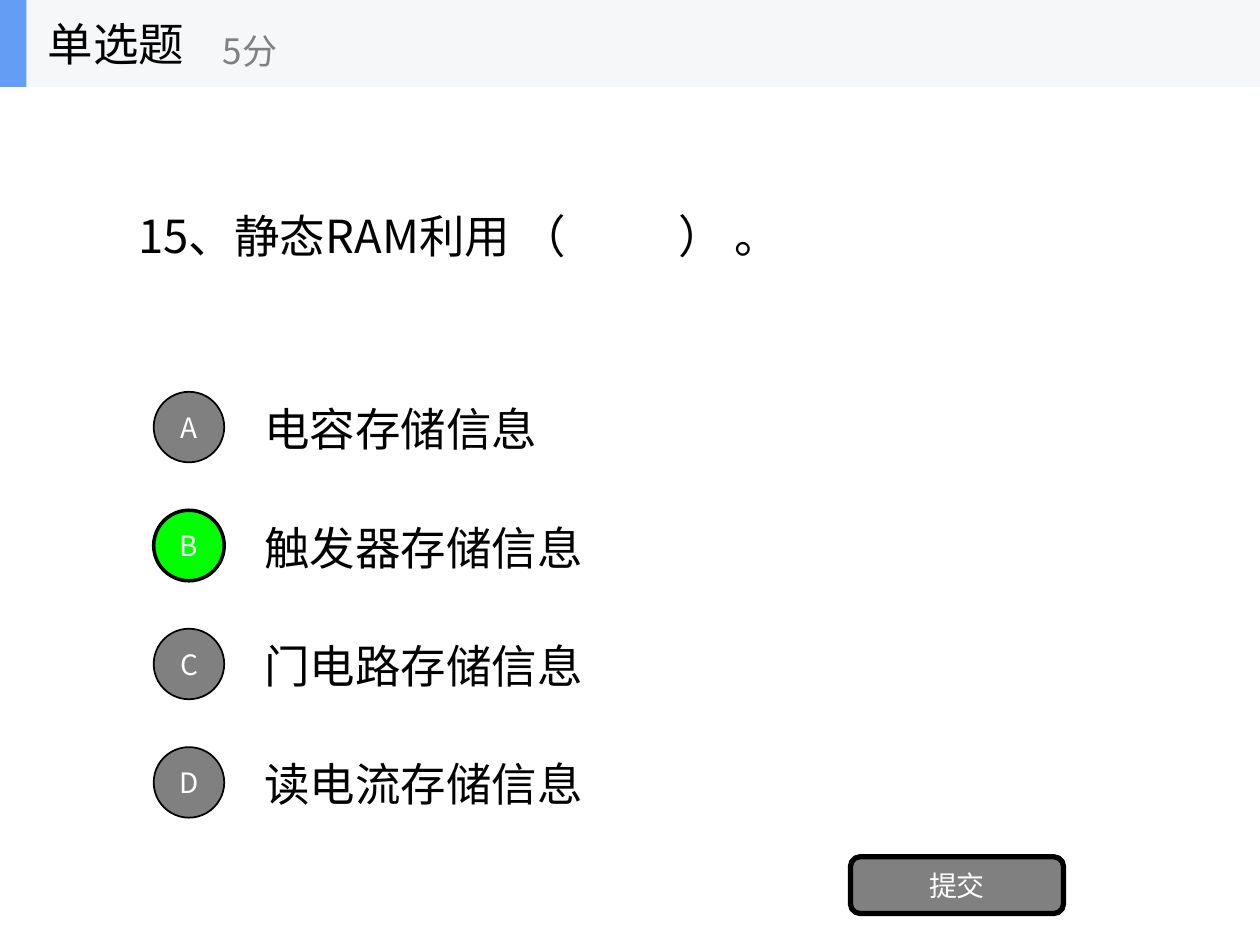
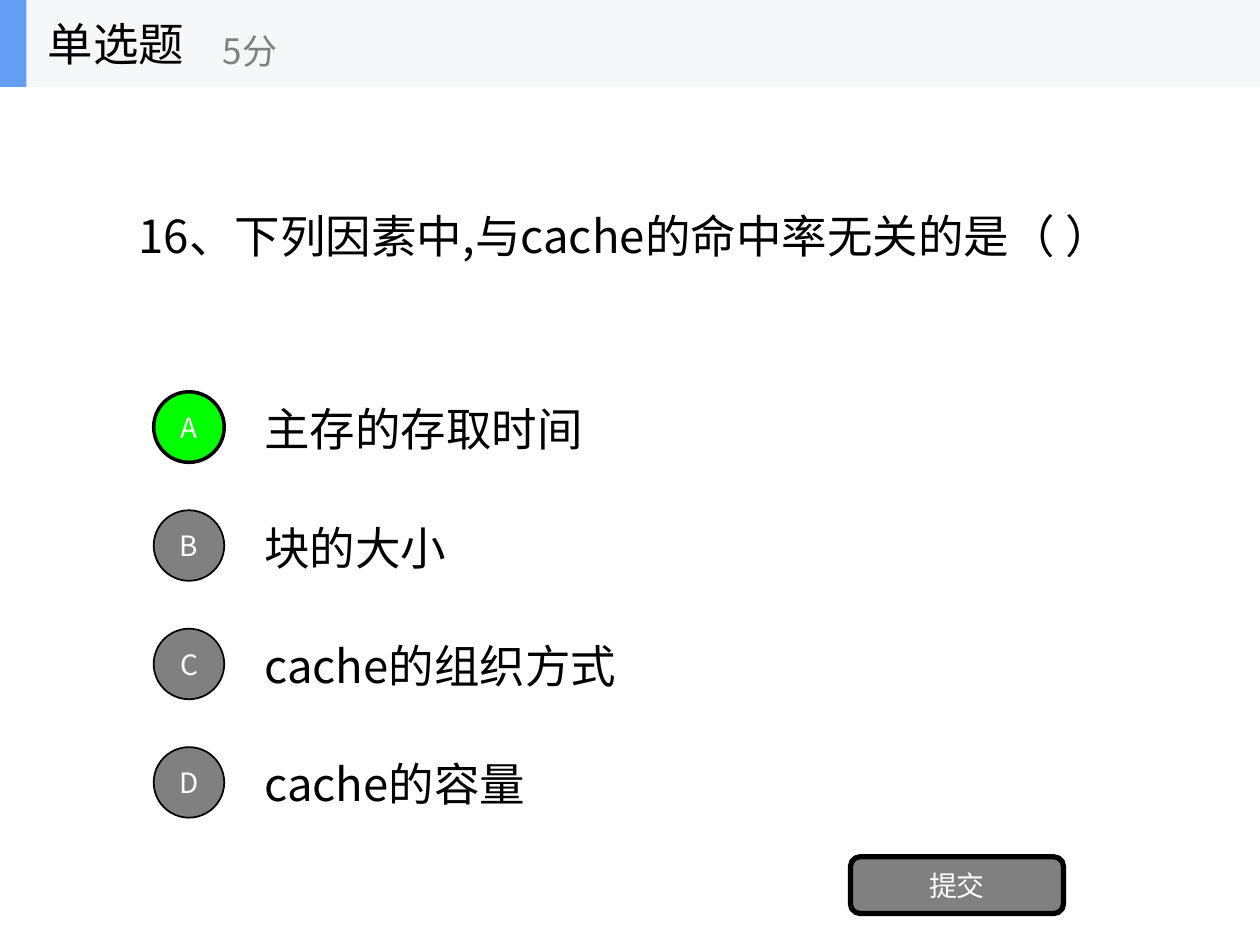
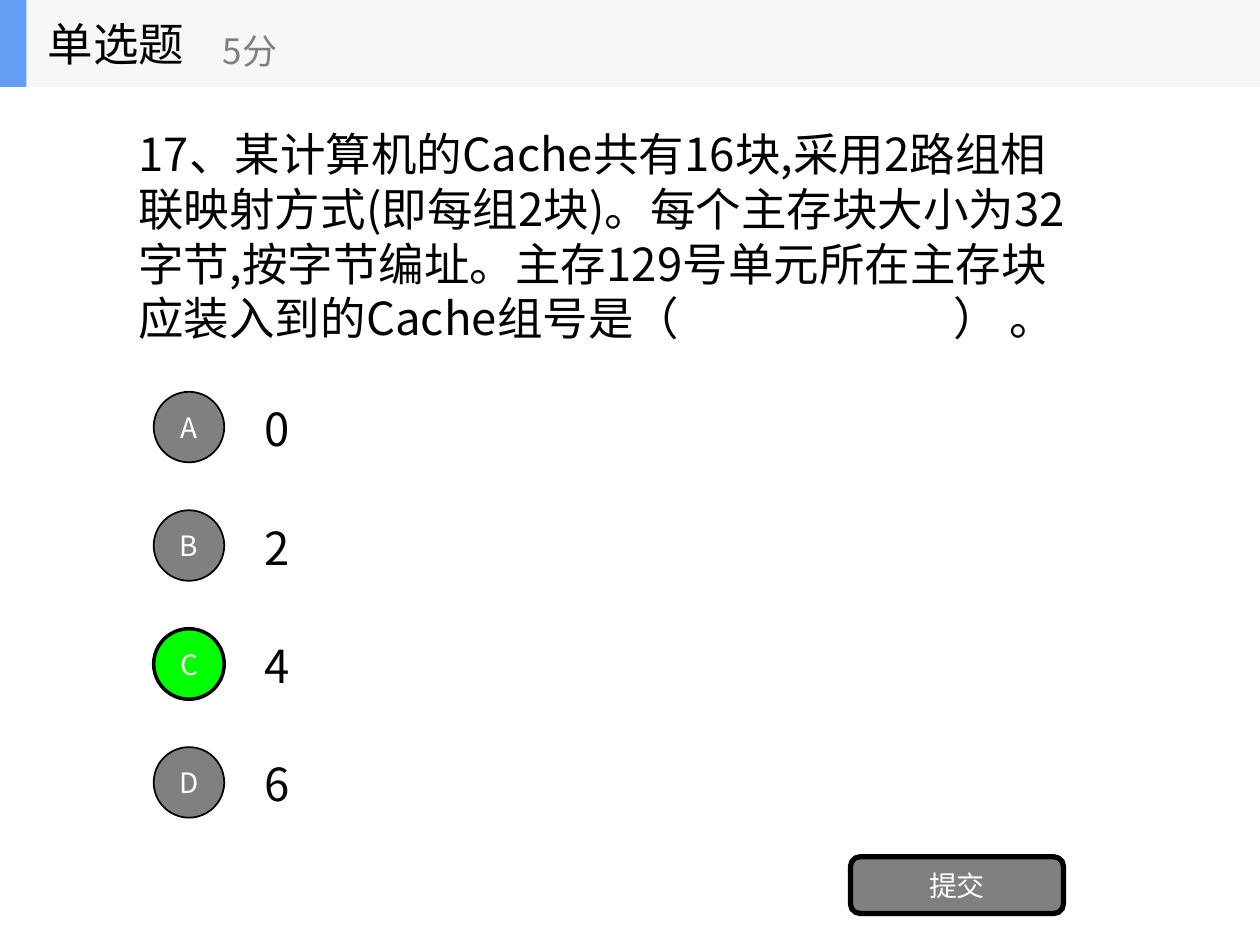
from dataclasses import dataclass

from lxml.etree import SubElement
from pptx import Presentation
from pptx.dml.color import RGBColor
from pptx.enum.shapes import MSO_SHAPE as Preset
from pptx.enum.text import MSO_ANCHOR as Anchor, PP_ALIGN as Align
from pptx.oxml.ns import qn
from pptx.util import Inches, Pt

COLUMNS, ROWS = 10, 7.5
FONT = "Noto Sans CJK SC"
BLACK, WHITE, GREY = "000000", "FFFFFF", "808080"
BAND, ACCENT, CORRECT = "F6F7F8", "639EF4", "00FF00"

BODY = {"size": Pt(26), "color": BLACK}
SCORE = {"size": Pt(20), "color": GREY}
BUTTON = {"size": Pt(16), "color": WHITE}

QUESTION_MIDDLE, LINE_HEIGHT = 1.87, 0.44
OPTION_TOP, OPTION_PITCH = 3.11, 0.94
HEADER_HEIGHT = 0.69


@dataclass
class Question:
    text: str
    width: float
    lines: int
    options: list
    answer: str
    blank_end: float = 0  # tab stop that closes the blank to fill in


QUESTIONS = [
    Question("15、静态RAM利用 （\t） 。", 6.36, 1,
             ["电容存储信息", "触发器存储信息", "门电路存储信息", "读电流存储信息"],
             "B", 4.29),
    Question("16、下列因素中,与cache的命中率无关的是（ ）", 8.08, 2,
             ["主存的存取时间", "块的大小", "cache的组织方式", "cache的容量"],
             "A"),
    Question("17、某计算机的Cache共有16块,采用2路组相联映射方式(即每组2块)。"
             "每个主存块大小为32字节,按字节编址。主存129号单元所在主存块应装入到的"
             "Cache组号是（\t） 。", 7.75, 4,
             ["0", "2", "4", "6"], "C", 6.47),
]


def rgb(value):
    return RGBColor.from_string(value)


def label_width(text):
    """Columns needed by one line of body text, with its insets."""
    return 0.3 + sum(0.2 if character.isascii() else 0.36 for character in text)


class QuizDeck:
    def __init__(self):
        self.presentation = Presentation()
        self.presentation.slide_width = Inches(10)
        self.presentation.slide_height = Inches(7.5)
        self.shapes = None

    def new_slide(self):
        layout = self.presentation.slide_layouts[6]
        self.shapes = self.presentation.slides.add_slide(layout).shapes

    def place(self, left, top, width, height):
        """Turn columns and rows of the grid into slide lengths."""
        column = self.presentation.slide_width / COLUMNS
        row = self.presentation.slide_height / ROWS
        return [round(length) for length in
                (left * column, top * row, width * column, height * row)]

    def fill_text(self, shape, text, style, align=Align.LEFT, tab_stop=0):
        frame = shape.text_frame
        for name, value in {"word_wrap": True, "vertical_anchor": Anchor.MIDDLE}.items():
            setattr(frame, name, value)
        paragraph = frame.paragraphs[0]
        paragraph.alignment = align
        if tab_stop:
            tabs = SubElement(paragraph._p.get_or_add_pPr(), qn("a:tabLst"))
            SubElement(tabs, qn("a:tab"), pos=str(Inches(tab_stop)), algn="l")
        run = paragraph.add_run()
        run.text = text
        for name, value in {"name": FONT, "size": style["size"]}.items():
            setattr(run.font, name, value)
        run.font.color.rgb = rgb(style["color"])
        SubElement(run._r.get_or_add_rPr(), qn("a:ea"), typeface=FONT)

    def text(self, text, box, style=BODY, tab_stop=0):
        self.fill_text(self.shapes.add_textbox(*self.place(*box)), text, style,
                       tab_stop=tab_stop)

    def shape(self, preset, box, fill, line_width=0, text=""):
        shape = self.shapes.add_shape(preset, *self.place(*box))
        shape.shadow.inherit = False
        shape.fill.solid()
        shape.fill.fore_color.rgb = rgb(fill)
        if line_width:
            shape.line.color.rgb = rgb(BLACK)
            shape.line.width = Pt(line_width)
        else:
            shape.line.fill.background()
        if text:
            self.fill_text(shape, text, BUTTON, Align.CENTER)

    def question(self, question):
        height = 0.1 + LINE_HEIGHT * question.lines
        self.text(question.text,
                  (1, QUESTION_MIDDLE - height / 2, question.width, height),
                  tab_stop=question.blank_end)

    def option(self, index, letter, label, correct):
        top = OPTION_TOP + index * OPTION_PITCH
        self.text(label, (2, top + 0.02, label_width(label), 0.54))
        fill, line_width = (CORRECT, 2) if correct else (GREY, 1)
        self.shape(Preset.OVAL, (1.22, top, 0.56, 0.56), fill, line_width, letter)

    def submit_button(self):
        self.shape(Preset.ROUNDED_RECTANGLE, (6.75, 6.8, 1.69, 0.45), GREY, 3, "提交")

    def header(self):
        slide_shapes = self.shapes
        self.shapes = slide_shapes.add_group_shape().shapes
        self.shape(Preset.RECTANGLE, (0, 0, COLUMNS, HEADER_HEIGHT), BAND)
        self.shape(Preset.RECTANGLE, (0, 0, 0.21, HEADER_HEIGHT), ACCENT)
        self.text("单选题", (0.28, 0, 2.08, HEADER_HEIGHT))
        self.text("5分", (1.67, 0.12, 2.5, 0.56), SCORE)
        self.shapes = slide_shapes


def main():
    deck = QuizDeck()
    for question in QUESTIONS:
        deck.new_slide()
        deck.question(question)
        for index, (letter, label) in enumerate(zip("ABCD", question.options)):
            deck.option(index, letter, label, letter == question.answer)
        deck.submit_button()
        deck.header()
    deck.presentation.save("out.pptx")


if __name__ == "__main__":
    main()
